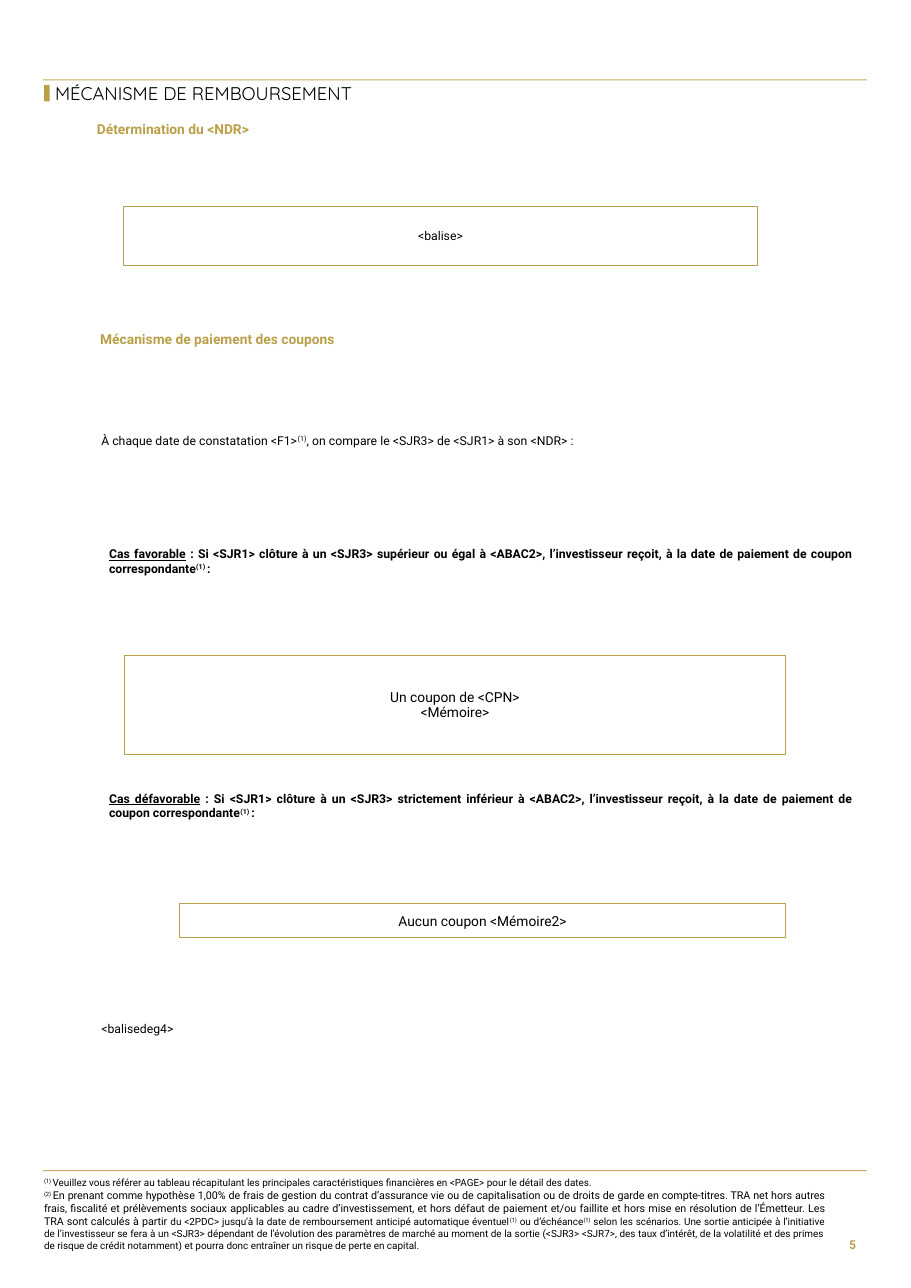
from dataclasses import dataclass
from pptx import Presentation
from pptx.dml.color import RGBColor
from pptx.enum.shapes import MSO_SHAPE
from pptx.enum.text import MSO_ANCHOR, PP_ALIGN
from pptx.util import Inches, Pt

COLUMNS, ROWS = 82.7, 116.9  # grid of the page, ten cells to the inch


@dataclass(frozen=True)
class Theme:
    gold: RGBColor = RGBColor(0xB9, 0xA0, 0x49)
    rule: RGBColor = RGBColor(0xC5, 0xAF, 0x5C)
    ink: RGBColor = RGBColor(0, 0, 0)
    paper: RGBColor = RGBColor(0xFF, 0xFF, 0xFF)
    title_font: str = "Quicksand"
    body_font: str = "Roboto"
    title: float = 12
    heading: float = 9
    body: float = 8
    note: float = 6.5
    note_large: float = 7


THEME = Theme()


@dataclass(frozen=True)
class Box:
    left: float
    top: float
    width: float
    height: float

    def inner(self, left, top, width, height):
        """Return a box whose corner is counted from this one's corner."""
        return Box(self.left + left, self.top + top, width, height)

    def lengths(self):
        return [Inches(cells / 10) for cells in (self.left, self.top, self.width, self.height)]


@dataclass(frozen=True)
class Span:
    text: str
    raised: bool = False
    underline: bool = False
    size: float = 0


def reference(text="(1)"):
    return Span(text, raised=True)


def write(shape, paragraphs, size=THEME.body, color=THEME.ink, bold=False, font=THEME.body_font,
          align=PP_ALIGN.JUSTIFY, anchor=MSO_ANCHOR.TOP, spacing=1.0, margin=0):
    """Fill a shape with paragraphs, each one a list of spans."""
    frame = shape.text_frame
    frame.word_wrap = True
    frame.vertical_anchor = anchor
    frame.margin_left = frame.margin_right = Inches(margin)
    frame.margin_top = frame.margin_bottom = Inches(margin / 2)
    for index, spans in enumerate(paragraphs):
        para = frame.add_paragraph() if index else frame.paragraphs[0]
        para.alignment, para.line_spacing = align, spacing
        para.space_before = Pt(0)
        para.font.name, para.font.size, para.font.bold = font, Pt(size), bold
        para.font.color.rgb = color
        for span in spans:
            run = para.add_run()
            run.text = span.text
            if span.underline:
                run.font.underline = True
            if span.size:
                run.font.size = Pt(span.size)
            if span.raised:
                run._r.get_or_add_rPr().set("baseline", "30000")


def add_text(page, box, paragraphs, **style):
    write(page.shapes.add_textbox(*box.lengths()), paragraphs, **style)


def add_heading(page, box, text):
    add_text(page, box, [[Span(text)]], size=THEME.heading, color=THEME.gold, bold=True,
             align=PP_ALIGN.LEFT)


def add_rectangle(page, box, fill=None, line=None, weight=0.75):
    shape = page.shapes.add_shape(MSO_SHAPE.RECTANGLE, *box.lengths())
    shape.shadow.inherit = False
    if fill is None:
        shape.fill.background()
    else:
        shape.fill.solid()
        shape.fill.fore_color.rgb = fill
    if line is None:
        shape.line.fill.background()
    else:
        shape.line.color.rgb = line
        shape.line.width = Pt(weight)
    return shape


def add_frame(page, box, lines, size=THEME.heading, fill=THEME.paper, weight=0.75, spacing=1.0):
    shape = add_rectangle(page, box, fill, THEME.gold, weight)
    write(shape, [[Span(line)] for line in lines], size=size, align=PP_ALIGN.CENTER,
          anchor=MSO_ANCHOR.MIDDLE, spacing=spacing, margin=0.12)


def add_rule(page, box):
    add_rectangle(page, box.inner(0, 0, box.width, 0.1), THEME.rule)


def add_header(page, box):
    add_rule(page, box)
    add_rectangle(page, box.inner(0.1, 0.5, 0.5, 1.5), THEME.gold)
    title = page.shapes.title
    title.left, title.top, title.width, title.height = box.inner(1.1, 0.1, 42.1, 2.5).lengths()
    write(title, [[Span("MÉCANISME DE REMBOURSEMENT")]], size=THEME.title,
          font=THEME.title_font, align=PP_ALIGN.LEFT, anchor=MSO_ANCHOR.MIDDLE, spacing=0.9)


def add_level(page, box):
    add_heading(page, box.inner(4.9, 1, 29.7, 1.8), "Détermination du <NDR>")
    add_frame(page, box.inner(7.3, 8.7, 57.6, 5.4), ["<balise>"], size=THEME.body, fill=None,
              weight=0.5)


def add_case(page, box, name, condition):
    ending = ", l’investisseur reçoit, à la date de paiement de coupon correspondante"
    add_text(page, box, [[Span(name, underline=True),
                          Span(f" : Si <SJR1> clôture à un <SJR3> {condition} à <ABAC2>{ending}"),
                          reference("(1) "), Span(":")]], bold=True)


def add_coupons(page, box):
    add_heading(page, box.inner(5.2, 1, 65.7, 1.7), "Mécanisme de paiement des coupons")
    add_text(page, box.inner(5.3, 10.3, 65.7, 1.3),
             [[Span("À chaque date de constatation <F1>"), reference(),
               Span(", on compare le <SJR3> de <SJR1> à son <NDR> :")]])
    add_case(page, box.inner(6, 20.6, 67.6, 2.7), "Cas favorable", "supérieur ou égal")
    add_frame(page, box.inner(7.4, 30.5, 60, 9), ["Un coupon de <CPN>", "<Mémoire>"], spacing=0.9)
    add_case(page, box.inner(6, 42.8, 67.6, 2.7), "Cas défavorable", "strictement inférieur")
    add_frame(page, box.inner(12.4, 53, 55, 3.1), ["Aucun coupon <Mémoire2>"])
    add_text(page, box.inner(5.3, 63.7, 67.6, 1.3), [[Span("<balisedeg4>")]])


def add_footer(page, box):
    add_rule(page, box)
    details = [reference("(1) "), Span(
        "Veuillez vous référer au tableau récapitulant les principales caractéristiques "
        "financières en <PAGE> pour le détail des dates.")]
    hypothesis = [
        reference("(2) "),
        Span("En prenant comme hypothèse 1,00% de frais de gestion du contrat d’assurance vie ou "
             "de capitalisation ou de droits de garde en compte-titres. TRA net hors autres "
             "frais, fiscalité et prélèvements sociaux applicables au cadre d’investissement, et "
             "hors défaut de paiement et/ou faillite et hors mise en résolution de l’Émetteur. "
             "Les TRA sont calculés à partir ", size=THEME.note_large),
        Span("du <2PDC> jusqu’à la date de remboursement anticipé automatique éventuel"),
        reference(), Span(" ou d’échéance"), reference(),
        Span(" selon les scénarios. Une sortie anticipée à l’initiative de l’investisseur se fera "
             "à un <SJR3> dépendant de l’évolution des paramètres de marché au moment de la "
             "sortie (<SJR3> <SJR7>, des taux d’intérêt, de la volatilité et des primes "
             "de risque de crédit notamment) et pourra donc entraîner un risque de perte en "
             "capital.")]
    add_text(page, box.inner(0.1, 0.6, 70.9, 6.8), [details, hypothesis], size=THEME.note)
    add_text(page, box.inner(70.9, 4.7, 3.9, 4.2), [[Span("5")]], color=THEME.gold, bold=True,
             align=PP_ALIGN.RIGHT, anchor=MSO_ANCHOR.MIDDLE, margin=0.1)


def main():
    deck = Presentation()
    deck.slide_width, deck.slide_height = Inches(COLUMNS / 10), Inches(ROWS / 10)
    page = deck.slides.add_slide(deck.slide_layouts.get_by_name("Title Only"))
    body = Box(3.9, 0, COLUMNS - 7.9, ROWS)
    add_header(page, body.inner(0, 7.2, body.width, 2.6))
    add_level(page, body.inner(0, 10, body.width, 16))
    add_coupons(page, body.inner(0, 29, body.width, 66))
    add_footer(page, body.inner(0, 106.2, body.width, 9))
    deck.save("out.pptx")


if __name__ == "__main__":
    main()
